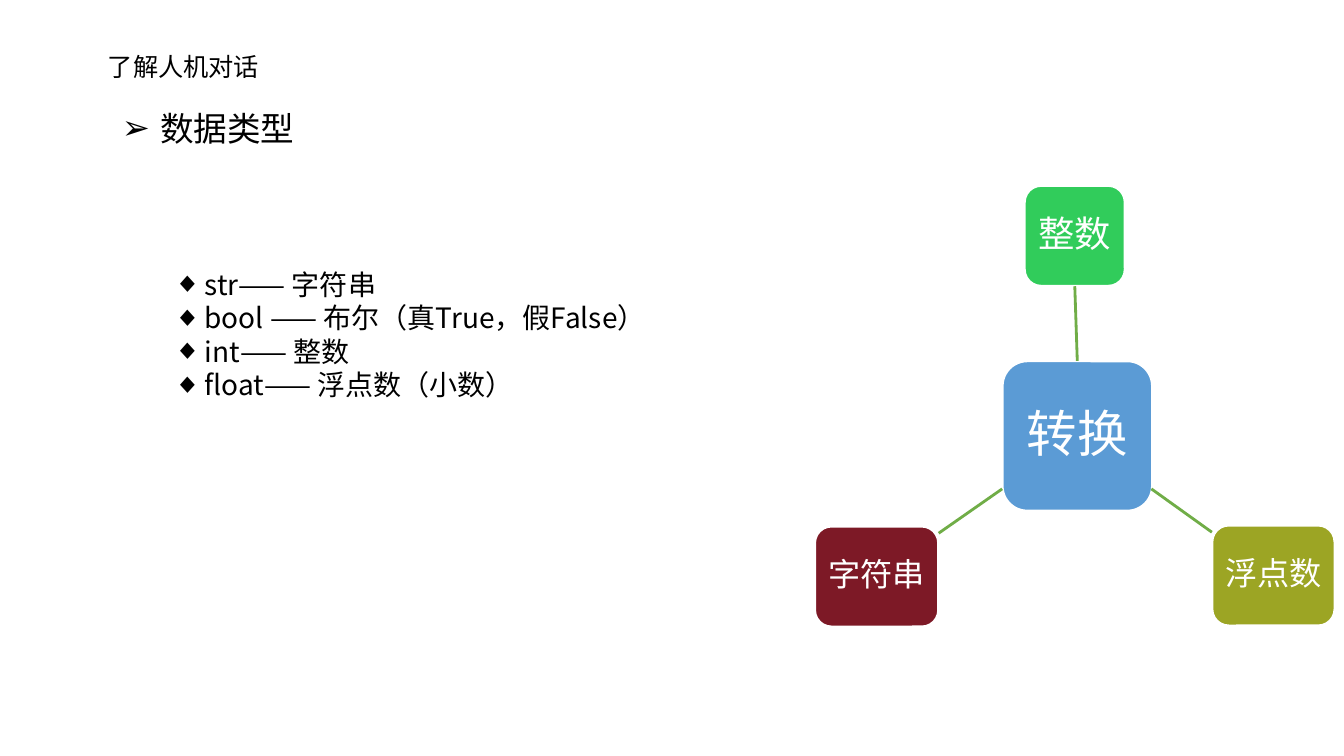
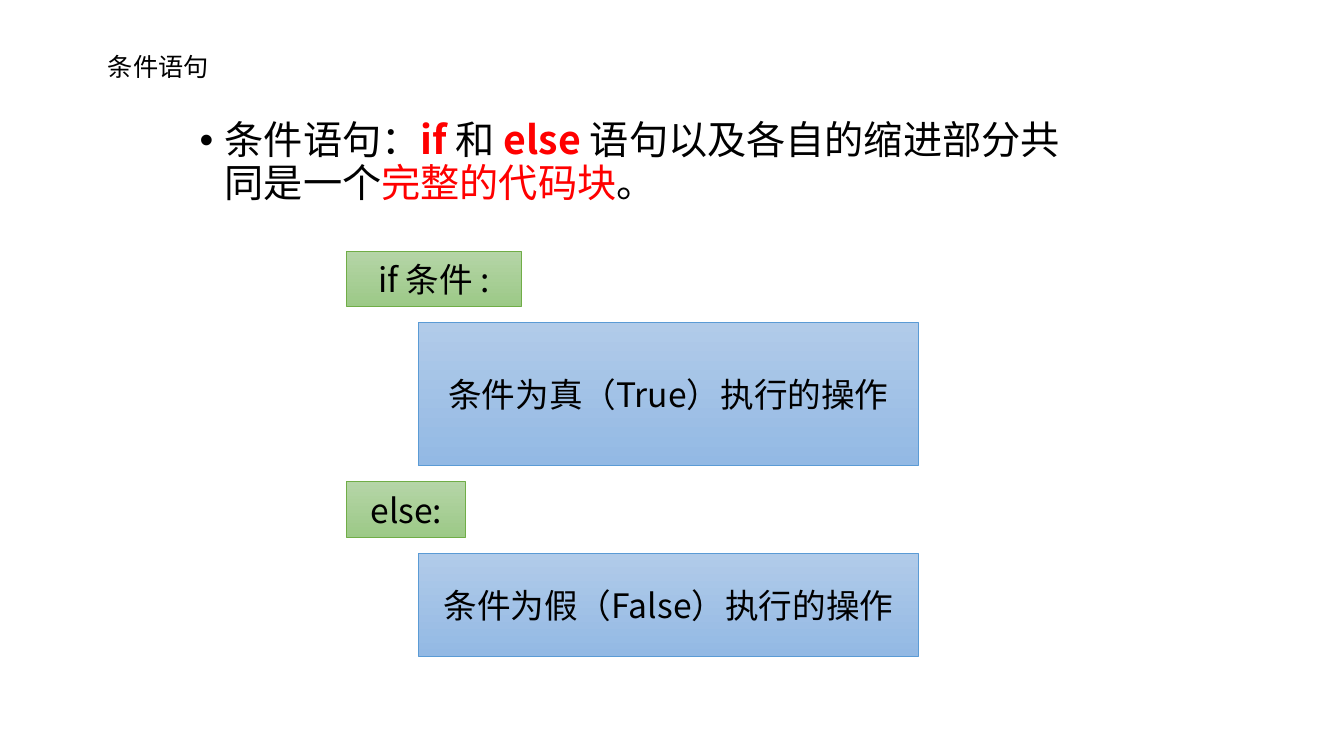
import dataclasses

import pptx
import pptx.dml.color
import pptx.enum.lang
import pptx.enum.shapes
import pptx.enum.text
import pptx.oxml.ns
import pptx.oxml.xmlchemy
import pptx.util
from lxml import etree

Inches = pptx.util.Inches
Pt = pptx.util.Pt
Anchor = pptx.enum.text.MSO_ANCHOR
Align = pptx.enum.text.PP_ALIGN
Fit = pptx.enum.text.MSO_AUTO_SIZE
Kind = pptx.enum.shapes.MSO_SHAPE
Link = pptx.enum.shapes.MSO_CONNECTOR
Lang = pptx.enum.lang.MSO_LANGUAGE_ID


@dataclasses.dataclass(frozen=True)
class Theme:
    font: str = "Noto Sans CJK SC"
    black: str = "000000"
    white: str = "FFFFFF"
    red: str = "FF0000"
    blue: str = "5B9BD5"
    green: str = "70AD47"
    lime: str = "31CC5B"
    olive: str = "9CA524"
    wine: str = "7D1926"
    leaf: tuple = ("B5D5A7", "9CC987")
    sky: tuple = ("B1CBE9", "93B9E4")
    title: int = 18
    list: int = 20
    head: int = 24
    lead: int = 28
    hub: int = 36
    edge: float = 0.5
    spoke: int = 2


THEME = Theme()


def tint(code):
    return pptx.dml.color.RGBColor.from_string(code)


def put(item, vals):
    for name, val in vals.items():
        setattr(item, name, val)


def place(shape, box):
    names = ("left", "top", "width", "height")
    put(shape, dict(zip(names, map(Inches, box))))


def add_run(para, text, size, color=THEME.black, bold=False):
    run = para.add_run()
    run.text = text
    put(run.font, {"name": THEME.font, "size": Pt(size), "bold": bold,
                   "language_id": Lang.SIMPLIFIED_CHINESE})
    run.font.color.rgb = tint(color)
    east = etree.SubElement(run.font._element, pptx.oxml.ns.qn("a:ea"))
    east.set("typeface", THEME.font)


def add_mark(para, mark, indent):
    props = para._p.get_or_add_pPr()
    props.set("marL", str(Inches(indent)))
    props.set("indent", str(-Inches(indent)))
    font = etree.SubElement(props, pptx.oxml.ns.qn("a:buFont"))
    font.set("typeface", "Arial")
    char = etree.SubElement(props, pptx.oxml.ns.qn("a:buChar"))
    char.set("char", mark)


def fill_list(shape, box, items, size, mark, indent, form=None):
    place(shape, box)
    frame = shape.text_frame
    put(frame, {"word_wrap": True, "auto_size": Fit.NONE,
                "vertical_anchor": Anchor.TOP})
    for spot, runs in enumerate(items):
        para = frame.add_paragraph() if spot else frame.paragraphs[0]
        put(para, {"space_before": Pt(0), **(form or {})})
        add_mark(para, mark, indent)
        for text, *look in runs:
            add_run(para, text, size, *look)


def add_page(deck, title):
    page = deck.slides.add_slide(deck.slide_layouts[1])
    head = page.shapes.title
    place(head, (0.97, 0.46, 4.08, 0.4))
    put(head.text_frame, {"word_wrap": True, "auto_size": Fit.NONE,
                          "vertical_anchor": Anchor.TOP})
    para = head.text_frame.paragraphs[0]
    para.alignment = Align.LEFT
    add_run(para, title, THEME.title)
    return page


def add_box(page, kind, box, text, size, color, line, width, inset=0.1, form=None):
    shape = page.shapes.add_shape(kind, *map(Inches, box))
    shape.shadow.inherit = False
    shape.line.color.rgb = tint(line)
    shape.line.width = Pt(width)
    sides = ("margin_left", "margin_right", "margin_top", "margin_bottom")
    put(shape.text_frame, {"word_wrap": True, "vertical_anchor": Anchor.MIDDLE,
                           **dict.fromkeys(sides, Inches(inset))})
    para = shape.text_frame.paragraphs[0]
    put(para, {"alignment": Align.CENTER, **(form or {})})
    add_run(para, text, size, color)
    return shape


def add_node(page, box, text, size, fill, inset):
    node = add_box(page, Kind.ROUNDED_RECTANGLE, box, text, size, THEME.white,
                   THEME.white, 2, inset, {"line_spacing": 0.9})
    node.fill.solid()
    node.fill.fore_color.rgb = tint(fill)
    return node


def add_block(page, box, text, stops, line):
    block = add_box(page, Kind.RECTANGLE, box, text, THEME.head, THEME.black,
                    line, THEME.edge)
    block.fill.gradient()
    block.fill.gradient_angle = 270
    for stop, code in zip(block.fill.gradient_stops, stops):
        stop.color.rgb = tint(code)


def add_spoke(page, start, end):
    spoke = page.shapes.add_connector(Link.STRAIGHT, *map(Inches, start + end))
    spoke.line.color.rgb = tint(THEME.green)
    spoke.line.width = Pt(THEME.spoke)
    etree.SubElement(spoke._element.spPr, pptx.oxml.ns.qn("a:effectLst"))
    return spoke


def draw_types(deck):
    page = add_page(deck, "了解人机对话")
    label = page.shapes.add_textbox(0, 0, 0, 0)
    fill_list(label, (1.11, 1.02, 2.2, 0.5), [[("数据类型",)]],
              THEME.head, "➢", 0.38)
    items = ("str—— 字符串", "bool —— 布尔（真True，假False）",
             "int—— 整数", "float—— 浮点数（小数）")
    fill_list(page.placeholders[1], (1.62, 2.6, 5.15, 1.75),
              [[(item,)] for item in items], THEME.list, "◆", 0.31)

    hub = add_node(page, (9.94, 3.58, 1.49, 1.49), "转换", THEME.hub,
                   THEME.blue, 0.1)
    whole = add_node(page, (10.16, 1.84, 1, 1), "整数", 26, THEME.lime, 0.06)
    add_node(page, (12.02, 5.21, 1.22, 1), "浮点数", 23, THEME.olive, 0.06)
    add_node(page, (8.08, 5.22, 1.23, 1), "字符串", 23, THEME.wine, 0.06)
    stem = add_spoke(page, (10.67, 3.58), (10.66, 2.84))
    stem.begin_connect(hub, 0)
    stem.end_connect(whole, 2)
    add_spoke(page, (11.42, 4.85), (12.02, 5.28))
    add_spoke(page, (9.94, 4.85), (9.31, 5.29))


def draw_branch(deck):
    page = add_page(deck, "条件语句")
    runs = [("条件语句：",), ("if", THEME.red, True), (" 和",),
            (" else", THEME.red, True), (" 语句以及各自的缩进部分共同是一个",),
            ("完整的代码块", THEME.red), ("。",)]
    fill_list(page.placeholders[1], (1.88, 1.15, 9, 4.95), [runs], THEME.lead,
              "•", 0.25, {"line_spacing": 0.9, "space_before": Pt(10)})

    test = (3.44, THEME.leaf, THEME.green)
    deed = (4.15, THEME.sky, THEME.blue)
    rows = [(test, 1.73, 0.55, "if 条件 :"),
            (deed, 4.96, 1.42, "条件为真（True）执行的操作"),
            (test, 1.18, 0.55, "else:"),
            (deed, 4.96, 1.02, "条件为假（False）执行的操作")]
    top, gap = 2.49, 0.16
    for (left, stops, line), width, height, text in rows:
        add_block(page, (left, top, width, height), text, stops, line)
        top += height + gap


def main():
    deck = pptx.Presentation()
    put(deck, {"slide_width": Inches(13.33), "slide_height": Inches(7.5)})
    draw_types(deck)
    draw_branch(deck)
    deck.save("out.pptx")


if __name__ == "__main__":
    main()
